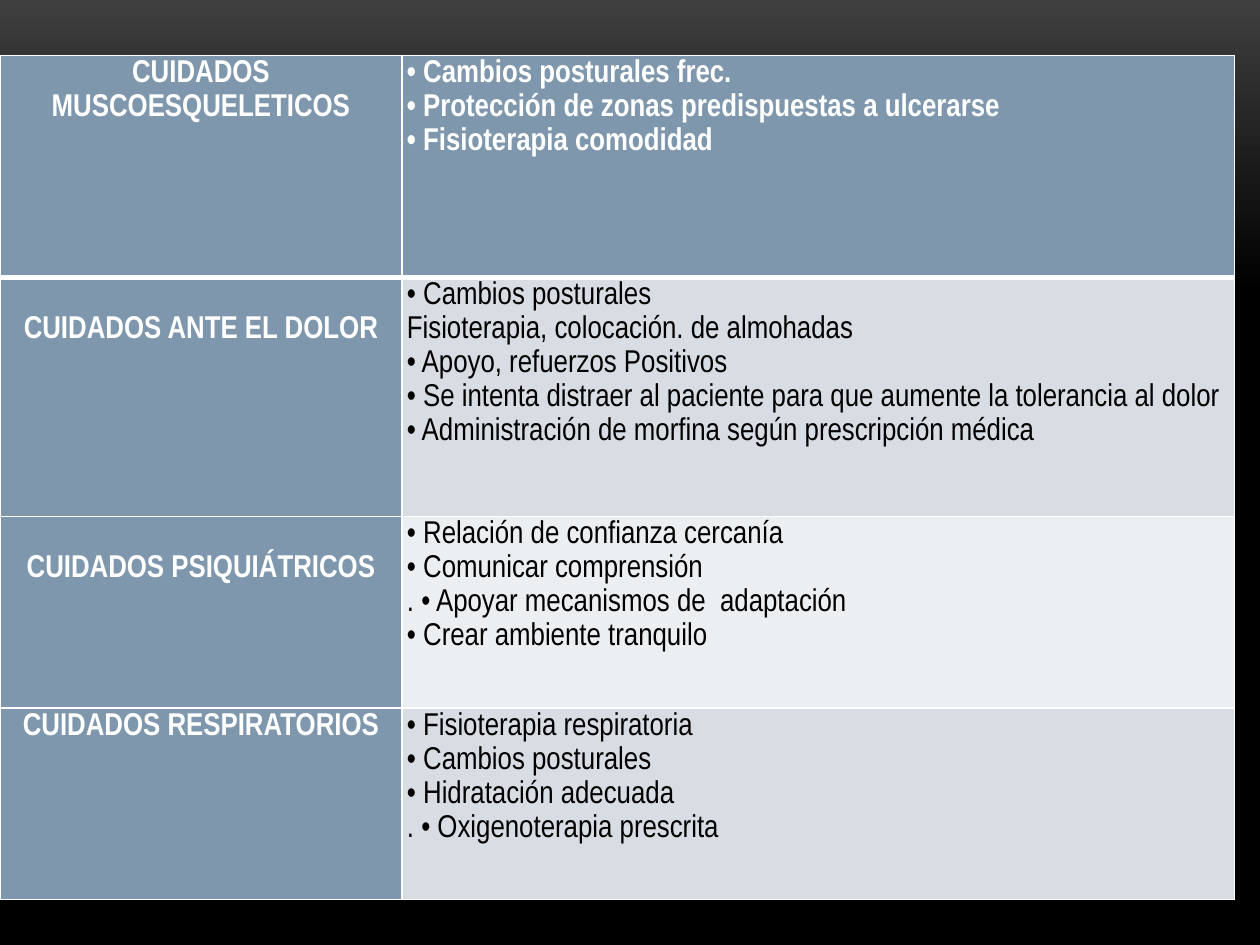
from lxml.etree import SubElement
from pptx import Presentation
from pptx.dml.color import RGBColor
from pptx.enum.text import PP_ALIGN
from pptx.oxml.ns import qn
from pptx.util import Inches, Pt

COLORS = {"glow": "3F3F3F", "black": "000000", "white": "FFFFFF",
          "header": "7E97AD", "dark band": "D8DDE3", "light band": "ECEFF1"}
FONT = "Arial Narrow"
LINE_HEIGHT = 0.27
COLUMNS = (3.19, 6.61)
ROWS = [
    {"height": 1.76, "band": "header", "lowered": 0, "title": "CUIDADOS MUSCOESQUELETICOS", "care": [
        "• Cambios posturales frec.",
        "• Protección de zonas predispuestas a ulcerarse",
        "• Fisioterapia comodidad"]},
    {"height": 1.9, "band": "dark band", "lowered": 1, "title": "CUIDADOS ANTE EL DOLOR", "care": [
        "• Cambios posturales",
        "Fisioterapia, colocación. de almohadas",
        "• Apoyo, refuerzos Positivos",
        "• Se intenta distraer al paciente para que aumente la tolerancia al dolor",
        "• Administración de morfina según prescripción médica"]},
    {"height": 1.52, "band": "light band", "lowered": 1, "title": "CUIDADOS PSIQUIÁTRICOS", "care": [
        "• Relación de confianza cercanía",
        "• Comunicar comprensión",
        ". • Apoyar mecanismos de  adaptación",
        "• Crear ambiente tranquilo"]},
    {"height": 1.52, "band": "dark band", "lowered": 0, "title": "CUIDADOS RESPIRATORIOS", "care": [
        "• Fisioterapia respiratoria",
        "• Cambios posturales",
        "• Hidratación adecuada",
        ". • Oxigenoterapia prescrita"]},
]


def color(name):
    return RGBColor.from_string(COLORS[name])


def set_background(slide):
    fill = slide.background.fill
    fill.gradient()
    fill.gradient_angle = 270
    for stop, name, position in zip(fill.gradient_stops, ("glow", "black"), (0, 0.31)):
        stop.color.rgb = color(name)
        stop.position = position


def set_borders(cell, top, bottom):
    properties = cell._tc.get_or_add_tcPr()
    for side, width in (("L", 1), ("R", 1), ("T", top), ("B", bottom)):
        line = SubElement(properties, qn(f"a:ln{side}"), w=str(Pt(width)))
        SubElement(SubElement(line, qn("a:solidFill")), qn("a:srgbClr"), val=COLORS["white"])


def fill_cell(cell, lines, band, alignment, lowered=0):
    cell.margin_left = cell.margin_right = Inches(0.04)
    cell.margin_top = Inches(lowered * LINE_HEIGHT)
    cell.margin_bottom = 0
    cell.fill.solid()
    cell.fill.fore_color.rgb = color(band)
    is_header = band == "header"
    frame = cell.text_frame
    for index, line in enumerate(lines):
        paragraph = frame.add_paragraph() if index else frame.paragraphs[0]
        paragraph.alignment = alignment
        paragraph.line_spacing = 1.15
        run = paragraph.add_run()
        run.text = line
        run.font.name = FONT
        run.font.size = Pt(18)
        run.font.bold = is_header
        run.font.color.rgb = color("white" if is_header else "black")


def add_care_table(slide):
    size = Inches(sum(COLUMNS)), Inches(sum(row["height"] for row in ROWS))
    table = slide.shapes.add_table(len(ROWS), len(COLUMNS), 0, Inches(0.44), *size).table
    for column, width in zip(table.columns, COLUMNS):
        column.width = Inches(width)
    for index, row in enumerate(ROWS):
        table.rows[index].height = Inches(row["height"])
        title, care = table.cell(index, 0), table.cell(index, 1)
        for cell in (title, care):
            set_borders(cell, top=3 if index == 1 else 1, bottom=3 if index == 0 else 1)
        fill_cell(title, [row["title"]], "header", PP_ALIGN.CENTER, row["lowered"])
        fill_cell(care, row["care"], row["band"], PP_ALIGN.LEFT)


def main():
    """Build the slide with the table of nursing care."""
    presentation = Presentation()
    presentation.slide_width, presentation.slide_height = Inches(10), Inches(7.5)
    slide = presentation.slides.add_slide(presentation.slide_layouts[6])
    set_background(slide)
    add_care_table(slide)
    presentation.save("out.pptx")


if __name__ == "__main__":
    main()
